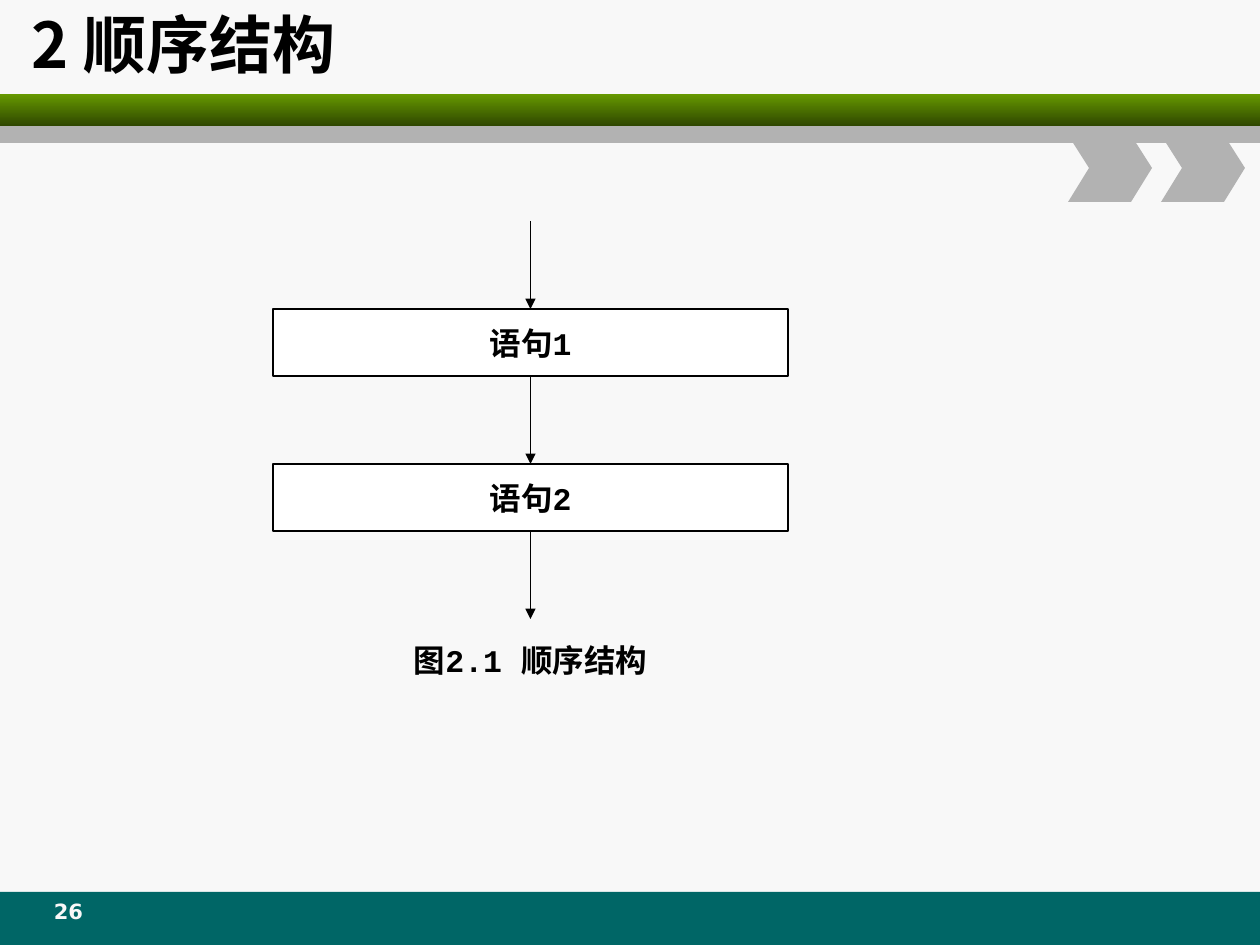
import pptx
import pptx.util
import pptx.dml.color
import pptx.enum.shapes
import pptx.enum.text
import pptx.oxml.ns
import lxml.etree

SCALE = 914400 / 126
HUES = {"back": "F8F8F8", "teal": "006666", "green": "669900", "moss": "2F4700",
        "gray": "B2B2B2", "white": "FFFFFF", "black": "000000"}
SHAPES = pptx.enum.shapes.MSO_SHAPE
ALIGN = pptx.enum.text.PP_ALIGN
ANCHOR = pptx.enum.text.MSO_ANCHOR


def px(num):
    """Turn pixels into EMU."""
    return pptx.util.Emu(round(num * SCALE))


def hue(name):
    """Look up a named colour."""
    return pptx.dml.color.RGBColor.from_string(HUES[name])


def add_tag(host, tag, **attrs):
    """Append a drawing element to its host."""
    return lxml.etree.SubElement(host, pptx.oxml.ns.qn(tag), **attrs)


def write(shape, text, size=18, font="Courier New", color="black",
          align=ALIGN.CENTER, anchor=ANCHOR.MIDDLE, pads=(0, 0, 0, 0)):
    """Put one bold line of formatted text into a shape."""
    frame = shape.text_frame
    frame.word_wrap = True
    frame.vertical_anchor = anchor
    frame.margin_left, frame.margin_top, frame.margin_right, frame.margin_bottom = map(px, pads)
    para = frame.paragraphs[0]
    para.alignment = align
    run = para.add_run()
    run.text = text
    run.font.size = pptx.util.Pt(size)
    run.font.bold = True
    run.font.color.rgb = hue(color)
    run.font.name = font
    add_tag(run.font._element, "a:ea", typeface="Noto Sans CJK SC")


def label(slide, box, text, **style):
    """Add a text box with formatted text."""
    write(slide.shapes.add_textbox(*map(px, box)), text, **style)


def block(slide, box, fill, line=None):
    """Add a flat rectangle."""
    shape = slide.shapes.add_shape(SHAPES.RECTANGLE, *map(px, box))
    shape.shadow.inherit = False
    shape.fill.solid()
    shape.fill.fore_color.rgb = hue(fill)
    if line:
        shape.line.color.rgb = hue(line)
        shape.line.width = pptx.util.Pt(0.75)
    else:
        shape.line.fill.background()
    return shape


def chevron(slide, box):
    """Add one gray chevron outline."""
    left, top, wide, high = box
    notch = 21
    right, mid, base = left + wide, top + high / 2, top + high
    pen = slide.shapes.build_freeform(left, top, scale=SCALE)
    pen.add_line_segments([(right - notch, top), (right, mid), (right - notch, base),
                           (left, base), (left + notch, mid)], close=True)
    shape = pen.convert_to_shape()
    shape.shadow.inherit = False
    shape.fill.solid()
    shape.fill.fore_color.rgb = hue("gray")
    shape.line.fill.background()


def arrow(slide, mid, top, base):
    """Add a downward arrow."""
    line = slide.shapes.add_connector(pptx.enum.shapes.MSO_CONNECTOR.STRAIGHT,
                                      px(mid), px(top), px(mid), px(base))
    line.line.color.rgb = hue("black")
    line.line.width = pptx.util.Pt(0.75)
    add_tag(line.line._get_or_add_ln(), "a:tailEnd", type="triangle")
    add_tag(line._element.spPr, "a:effectLst")


def header(slide, box, text):
    """Draw the title, its two bands and the chevrons."""
    left, top, wide, high = box
    band = block(slide, (left, top + 94, wide, 32), "green")
    band.fill.gradient()
    band.fill.gradient_angle = 270
    for stop, name, place in zip(band.fill.gradient_stops, ("green", "moss"), (0, 1)):
        stop.color.rgb = hue(name)
        stop.position = place
    block(slide, (left, top + 126, wide, 17), "gray")
    for step in range(2):
        chevron(slide, (left + wide - 192 + 93 * step, top + high - 67, 84, 67))
    label(slide, (left, top, 1134, 88), text, size=36, font="Noto Sans CJK SC",
          align=ALIGN.LEFT, anchor=ANCHOR.TOP, pads=(32, 6, 13, 6))


def flow(slide, box, steps, title):
    """Draw stacked steps joined by arrows, with a caption below."""
    left, top, wide, high = box
    tall, gap = 67, 88
    mid = left + wide / 2
    for row, text in enumerate(steps):
        start = top + row * (tall + gap)
        arrow(slide, mid, start, start + gap)
        write(block(slide, (left, start + gap, wide, tall), "white", "black"), text)
    last = top + len(steps) * (tall + gap)
    arrow(slide, mid, last, last + gap)
    label(slide, (left, top + high - 60, wide, 60), title)


def footer(slide, box, page):
    """Draw the bottom band and page number."""
    left, top = box[:2]
    block(slide, box, "teal")
    label(slide, (left + 32, top, 73, 42), page, size=12, font="DejaVu Sans",
          color="back", anchor=ANCHOR.TOP, pads=(13, 6, 13, 6))


def main():
    """Build and save the slide."""
    deck = pptx.Presentation()
    deck.slide_width, deck.slide_height = px(1260), px(945)
    slide = deck.slides.add_slide(deck.slide_layouts[6])
    slide.background.fill.solid()
    slide.background.fill.fore_color.rgb = hue("back")
    footer(slide, (0, 892, 1260, 53), "26")
    header(slide, (0, 0, 1260, 202), "2 顺序结构")
    flow(slide, (273, 221, 515, 469), ("语句1", "语句2"), "图2.1 顺序结构")
    deck.save("out.pptx")


if __name__ == "__main__":
    main()
